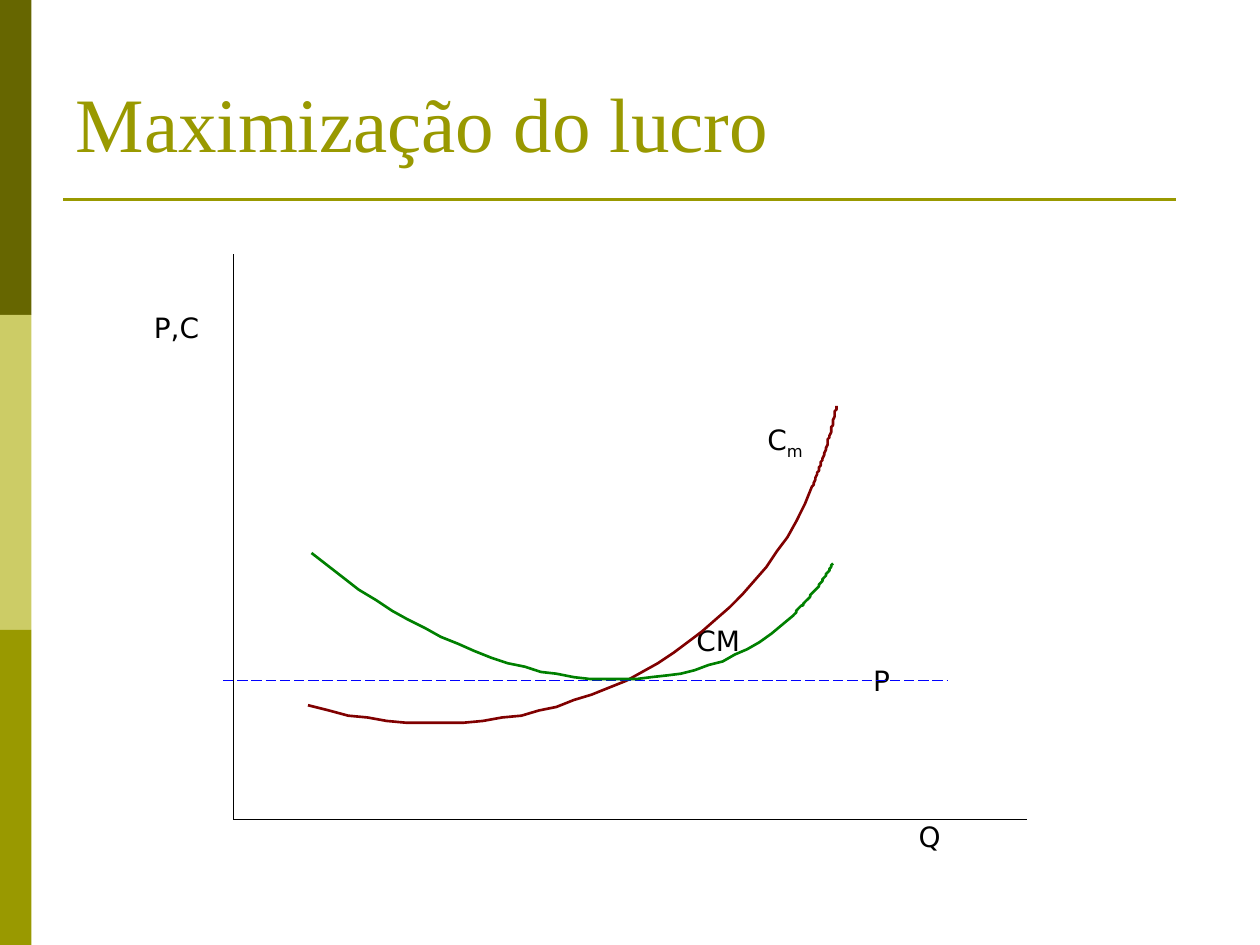
from dataclasses import dataclass

from lxml.etree import SubElement
from pptx import Presentation
from pptx.dml.color import RGBColor
from pptx.enum.dml import MSO_LINE_DASH_STYLE as DASH
from pptx.enum.shapes import MSO_CONNECTOR as CONN, MSO_SHAPE as SHAPE
from pptx.enum.text import MSO_ANCHOR as ANCHOR, MSO_AUTO_SIZE as AUTO, PP_ALIGN as ALIGN
from pptx.oxml.ns import qn
from pptx.util import Pt


@dataclass(frozen=True)
class Theme:
    """Colours, fonts and type sizes of the slide."""
    dark: str = "666600"
    light: str = "CCCC66"
    olive: str = "999900"
    ink: str = "000000"
    price: str = "0000FF"
    marginal: str = "800000"
    average: str = "008000"
    title_font: str = "Times New Roman"
    label_font: str = "DejaVu Sans"
    title_size: int = 44
    label_size: int = 16
    thin: float = 0.75
    thick: float = 1.5


THEME = Theme()
LABELS = [
    ("P,C", "", 88, 177.7),
    ("C", "m", 438.5, 241.7),
    ("CM", "", 398, 356.6),
    ("P", "", 499, 378.9),
    ("Q", "", 525, 468.6),
]
MARGINAL_COST = [(478, 232), (475, 248.5), (470, 263.5), (464.4, 278.5),
                 (418.5, 383.5), (296, 437), (176.5, 403.2)]
AVERAGE_COST = [(476, 322), (469.5, 333), (462, 342.5), (453, 351.5),
                (390.5, 412), (273, 397), (178, 315.5)]


def style_run(r, font, size, color):
    """Set the font, size and colour of a run."""
    r.font.name = font
    r.font.size = Pt(size)
    r.font.color.rgb = RGBColor.from_string(color)


def set_title(s, text):
    """Place and format the title placeholder."""
    sp = s.shapes.title
    sp.left, sp.top, sp.width, sp.height = Pt(36), Pt(9.5), Pt(648), Pt(90)
    tf = sp.text_frame
    tf.text = text
    tf.auto_size = AUTO.NONE
    tf.vertical_anchor = ANCHOR.BOTTOM
    p = tf.paragraphs[0]
    p.alignment = ALIGN.LEFT
    style_run(p.runs[0], THEME.title_font, THEME.title_size, THEME.olive)


def add_band(s, top, height, color):
    """Add one block of the left side bar."""
    sp = s.shapes.add_shape(SHAPE.RECTANGLE, 0, Pt(top), Pt(18), Pt(height))
    sp.shadow.inherit = False
    sp.fill.solid()
    sp.fill.fore_color.rgb = RGBColor.from_string(color)
    sp.line.fill.background()


def add_line(s, start, end, color, width, dash=None):
    """Add a straight line between two points."""
    sp = s.shapes.add_connector(CONN.STRAIGHT, *map(Pt, start + end))
    sp.line.color.rgb = RGBColor.from_string(color)
    sp.line.width = Pt(width)
    if dash:
        sp.line.dash_style = dash
    SubElement(sp._element.spPr, qn("a:effectLst"))


def add_label(s, text, subscript, left, top):
    """Add a graph label with an optional subscript."""
    tf = s.shapes.add_textbox(Pt(left), Pt(top), Pt(45), Pt(19)).text_frame
    tf.margin_left = tf.margin_top = tf.margin_right = tf.margin_bottom = 0
    tf.word_wrap = True
    p = tf.paragraphs[0]
    for part in filter(None, (text, subscript)):
        r = p.add_run()
        r.text = part
        style_run(r, THEME.label_font, THEME.label_size, THEME.ink)
    if subscript:
        r.font._element.set("baseline", "-25000")


def bezier(controls, steps=32):
    """Return points along one cubic Bézier segment."""
    def point(t):
        weights = ((1 - t) ** 3, 3 * t * (1 - t) ** 2, 3 * t * t * (1 - t), t ** 3)
        return tuple(sum(w * v for w, v in zip(weights, axis)) for axis in zip(*controls))
    return [point(i / steps) for i in range(1, steps + 1)]


def add_curve(s, controls, color):
    """Add an open curve through two joined Bézier segments."""
    points = bezier(controls[:4]) + bezier(controls[3:])
    builder = s.shapes.build_freeform(*controls[0], scale=Pt(1))
    builder.add_line_segments(points, close=False)
    sp = builder.convert_to_shape()
    sp.shadow.inherit = False
    sp.fill.background()
    sp.line.color.rgb = RGBColor.from_string(color)
    sp.line.width = Pt(THEME.thick)


def main():
    """Build and save the slide."""
    prs = Presentation()
    prs.slide_width, prs.slide_height = Pt(720), Pt(540)
    s = prs.slides.add_slide(prs.slide_layouts[5])
    set_title(s, "Maximização do lucro")
    for i, color in enumerate((THEME.dark, THEME.light, THEME.olive)):
        add_band(s, 180 * i, 180, color)
    add_line(s, (36, 114), (672, 114), THEME.olive, THEME.thick)
    for label in LABELS:
        add_label(s, *label)
    origin = (133.3, 468.5)
    for end in ((587, 468.5), (133.3, 145.3)):
        add_line(s, origin, end, THEME.ink, THEME.thin)
    add_curve(s, MARGINAL_COST, THEME.marginal)
    add_line(s, (127.5, 389), (541.5, 389), THEME.price, THEME.thin, DASH.LONG_DASH)
    add_curve(s, AVERAGE_COST, THEME.average)
    prs.save("out.pptx")


if __name__ == "__main__":
    main()
